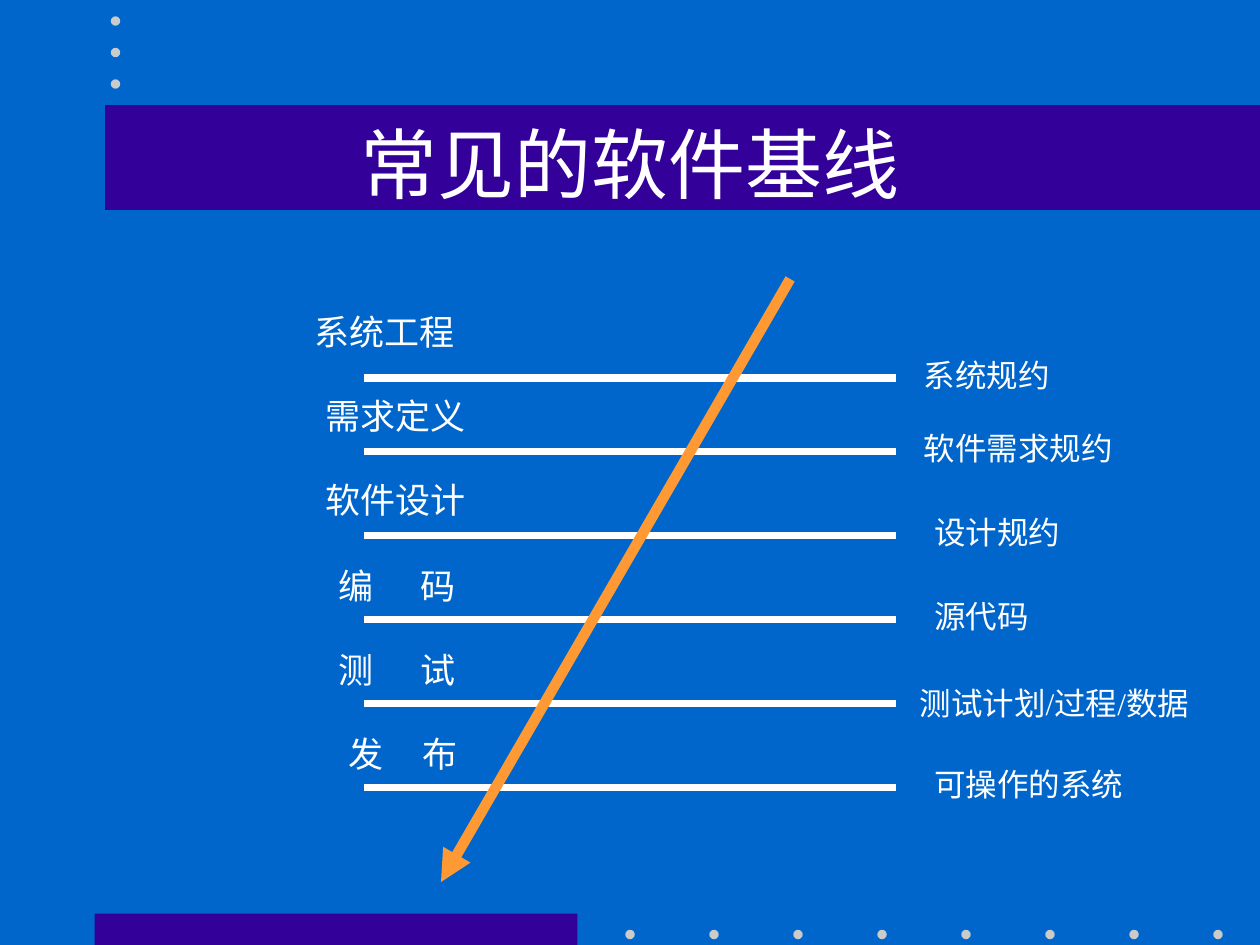
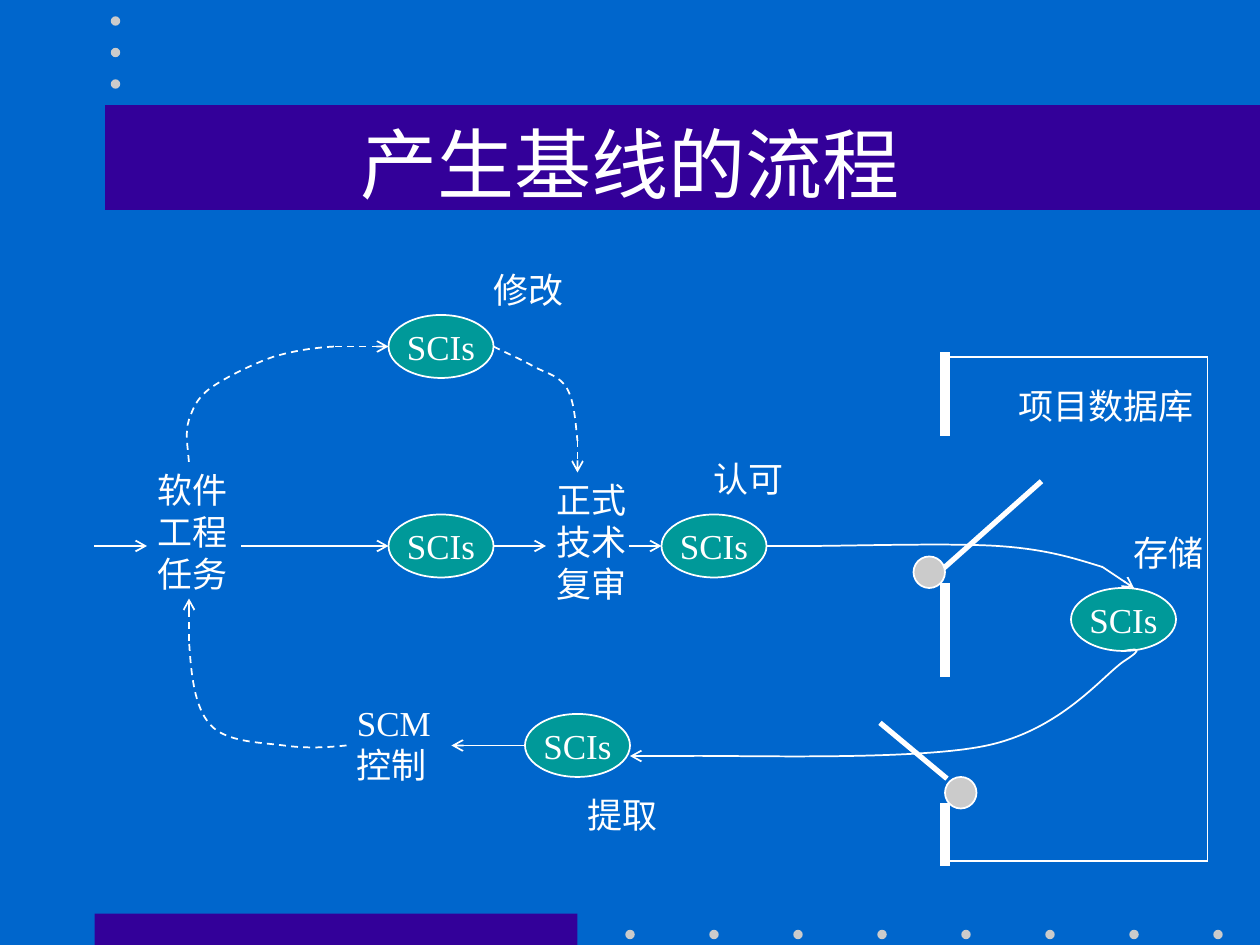
import pptx
import pptx.util
import pptx.dml.color
import pptx.enum.dml
import pptx.enum.shapes
import pptx.enum.text
import pptx.oxml.ns
from lxml import etree

HUES = {"back": "0066CC", "band": "330099", "dot": "CBCBCB",
        "ink": "FFFFFF", "arrow": "FF9933", "item": "009999"}
RGB = {name: pptx.dml.color.RGBColor.from_string(h) for name, h in HUES.items()}
FONT = "Times New Roman"
UNIT = pptx.util.Inches(1 / 12)  # the slide is a grid of 120 columns by 90 rows
KIND = pptx.enum.shapes.MSO_SHAPE
ALIGN = pptx.enum.text.PP_ALIGN
ANCHOR = pptx.enum.text.MSO_ANCHOR
qn = pptx.oxml.ns.qn


def write(shape, box, words, size=20, align=ALIGN.LEFT, anchor=ANCHOR.TOP, tab=None):
    """Place a shape on the grid and set its text."""
    shape.left, shape.top, shape.width, shape.height = [round(n * UNIT) for n in box]
    if not words:
        return
    frame = shape.text_frame
    frame.text = words
    frame.word_wrap = False
    frame.auto_size = pptx.enum.text.MSO_AUTO_SIZE.NONE
    frame.vertical_anchor = anchor
    for para in frame.paragraphs:
        para.alignment = align
        if tab:
            stops = etree.SubElement(para._p.get_or_add_pPr(), qn("a:tabLst"))
            etree.SubElement(stops, qn("a:tab"), pos=str(round(tab * UNIT)), algn="l")
        para.font.name = FONT
        para.font.size = pptx.util.Pt(size)
        para.font.color.rgb = RGB["ink"]


def stroke(page, nodes, weight=1, hue="ink", dash=False, tip=None):
    """Draw a straight line through two nodes, or a chain of cubic curves."""
    pts = [(round(x * UNIT), round(y * UNIT)) for x, y in nodes]
    straight = len(pts) == 2
    if straight:
        kind = pptx.enum.shapes.MSO_CONNECTOR.STRAIGHT
        shape = page.shapes.add_connector(kind, *pts[0], *pts[1])
    else:
        pen = page.shapes.build_freeform(*pts[0])
        pen.add_line_segments(pts[1:], close=False)
        shape = pen.convert_to_shape()
        shape.fill.background()
        # Every three segments become one cubic curve
        steps = list(shape.element.iter(qn("a:lnTo")))
        for i in range(0, len(steps), 3):
            curve = etree.SubElement(steps[i].getparent(), qn("a:cubicBezTo"))
            for step in steps[i:i + 3]:
                curve.append(step[0])
                step.getparent().remove(step)
    shape.line.color.rgb = RGB[hue]
    shape.line.width = pptx.util.Pt(weight)
    if dash:
        shape.line.dash_style = pptx.enum.dml.MSO_LINE.DASH
    props = shape.element.spPr
    edge = props.find(qn("a:ln"))
    if straight:
        edge.set("cap", "sq")
    if tip:
        etree.SubElement(edge, qn("a:tailEnd"), type=tip)
    etree.SubElement(props, qn("a:effectLst"))


deck = pptx.Presentation()
deck.slide_width, deck.slide_height = 120 * UNIT, 90 * UNIT
fill = deck.slide_master.background.fill
fill.solid()
fill.fore_color.rgb = RGB["back"]

# Slides and titles
look = deck.slide_layouts[5]
pages = []
for words in ("常见的软件基线", "产生基线的流程"):
    page = deck.slides.add_slide(look)
    write(page.shapes.title, (9, 8, 102, 15), words, 44, ALIGN.CENTER, ANCHOR.MIDDLE)
    pages.append(page)
lines, flow = pages

# Bands and dots, kept on the shared layout
dots = [(60 + 8 * k, 89) for k in range(8)] + [(11, 2 + 3 * k) for k in range(3)]
decor = [(KIND.RECTANGLE, "band", (9, 87, 46, 3)),
         (KIND.RECTANGLE, "band", (10, 10, 110, 10))]
decor += [(KIND.OVAL, "dot", (x - 0.45, y - 0.45, 0.9, 0.9)) for x, y in dots]
for num, (kind, hue, box) in enumerate(decor, 100):
    shape = lines.shapes.add_shape(kind, *[round(n * UNIT) for n in box])
    shape.shadow.inherit = False
    shape.fill.solid()
    shape.fill.fore_color.rgb = RGB[hue]
    shape.line.fill.background()
    shape.element.nvSpPr.cNvPr.set("id", str(num))
    look.shapes.element.append(shape.element)

# Slide 1: one row per phase: line, phase (x, lift, width, tab), product (x, lift, width)
rows = [
    (36, "系统工程", 28.8, 7, 15.7, None, "系统规约", 86.8, 2.7, 14.4),
    (43, "需求定义", 29.8, 6, 15.7, None, "软件需求规约", 86.8, 2.7, 20.4),
    (51, "软件设计", 29.8, 6, 15.7, None, "设计规约", 87.8, 2.7, 14.4),
    (59, "编\t码", 31.1, 5.8, 13.5, 7.8, "源代码", 87.8, 2.7, 11.4),
    (67, "测\t试", 31.1, 5.8, 13.5, 7.8, "测试计划/过程/数据", 86.4, 2.4, 31),
    (75, "发\t布", 32, 5.8, 12.8, 7.1, "可操作的系统", 87.8, 2.7, 20.4),
]
for y, phase, x, lift, wide, tab, goods, right, rise, span in rows:
    stroke(lines, [(35, y), (85, y)], 4.5)
    write(lines.shapes.add_textbox(0, 0, 0, 0), (x, y - lift, wide, 5.3), phase, tab=tab)
    write(lines.shapes.add_textbox(0, 0, 0, 0), (right, y - rise, span, 4.8), goods, 18)
stroke(lines, [(75, 27), (42, 84)], 6, "arrow", tip="triangle")

# Slide 2: database walls and doors
walls = [
    (1, (90, 34), (115, 34)), (1, (115, 34), (115, 82)), (1, (115, 82), (90, 82)),
    (6, (90, 82), (90, 77)), (6, (90, 34), (90, 41)), (6, (90, 56), (90, 64)),
    (3, (90, 54), (99, 46)), (3, (90, 74), (84, 69)),
]
for weight, *ends in walls:
    stroke(flow, ends, weight)

# Configuration items and door hinges
ovals = [(x, y, 10, 6, "item", "SCIs") for x, y in
         [(37, 30), (37, 49), (50, 68), (63, 49), (102, 56)]]
ovals += [(x, y, 3, 3, "dot", "") for x, y in [(87, 53), (90, 74)]]
for *box, hue, words in ovals:
    shape = flow.shapes.add_shape(KIND.OVAL, 0, 0, 0, 0)
    shape.shadow.inherit = False
    shape.fill.solid()
    shape.fill.fore_color.rgb = RGB[hue]
    shape.line.color.rgb = RGB["ink"]
    shape.line.width = pptx.util.Pt(1)
    write(shape, box, words, align=ALIGN.CENTER, anchor=ANCHOR.MIDDLE)

# Straight arrows
for x, end, y in [(9, 14, 52), (23, 37, 52), (47, 52, 52), (60, 63, 52), (50, 43, 71)]:
    stroke(flow, [(x, y), (end, y)], tip="arrow")

# Curved paths: dashed or not, curve nodes, arrow end
paths = [
    (False, [(107, 62), (108.1, 61.8), (109.2, 61.6), (107, 63), (104.9, 64.5),
             (101, 69.5), (94, 71), (87, 72.5), (69.8, 71.9), (65, 72)], (60, 72)),
    (False, [(73, 52), (73.2, 52), (73.3, 52), (77, 52), (80.6, 52), (90.4, 51.7),
             (95, 52), (99.7, 52.3), (102.4, 53.2), (105, 54)], (108, 56)),
    (True, [(33, 71), (31.1, 71.2), (29.2, 71.3), (27, 71), (24.8, 70.7),
            (21.5, 70.7), (20, 69), (18.5, 67.3), (18.2, 64.2), (18, 61)], (18, 57)),
    (True, [(18, 44), (17.9, 42.6), (17.6, 41.2), (18, 40), (18.4, 38.9),
            (18.7, 38), (20, 37), (21.4, 36), (24, 34.7), (26, 34), (28, 33.4),
            (30, 33.1), (32, 33)], (37, 33)),
    (True, [(47, 33), (48.4, 33.7), (49.8, 34.3), (51, 35), (52.2, 35.6),
            (53.3, 35.8), (54, 37), (54.7, 38.2), (54.8, 40.1), (55, 42)], (55, 45)),
]
for dash, nodes, end in paths:
    stroke(flow, nodes, dash=dash)
    stroke(flow, [nodes[-1], end], dash=dash, tip="arrow")

# Labels
labels = [
    ("正式\n技术\n复审", 51.8, 45, 9), ("SCM\n控制", 32.8, 66.2, 9.5),
    ("软件\n工程\n任务", 13.8, 44, 9), ("修改", 45.8, 25, 9), ("认可", 66.8, 43, 9),
    ("提取", 54.8, 75, 9), ("存储", 106.8, 50, 9), ("项目数据库", 95.8, 36, 19),
]
for words, x, y, wide in labels:
    high = 1.3 + 4 * len(words.split("\n"))
    write(flow.shapes.add_textbox(0, 0, 0, 0), (x, y, wide, high), words)

deck.save("out.pptx")
